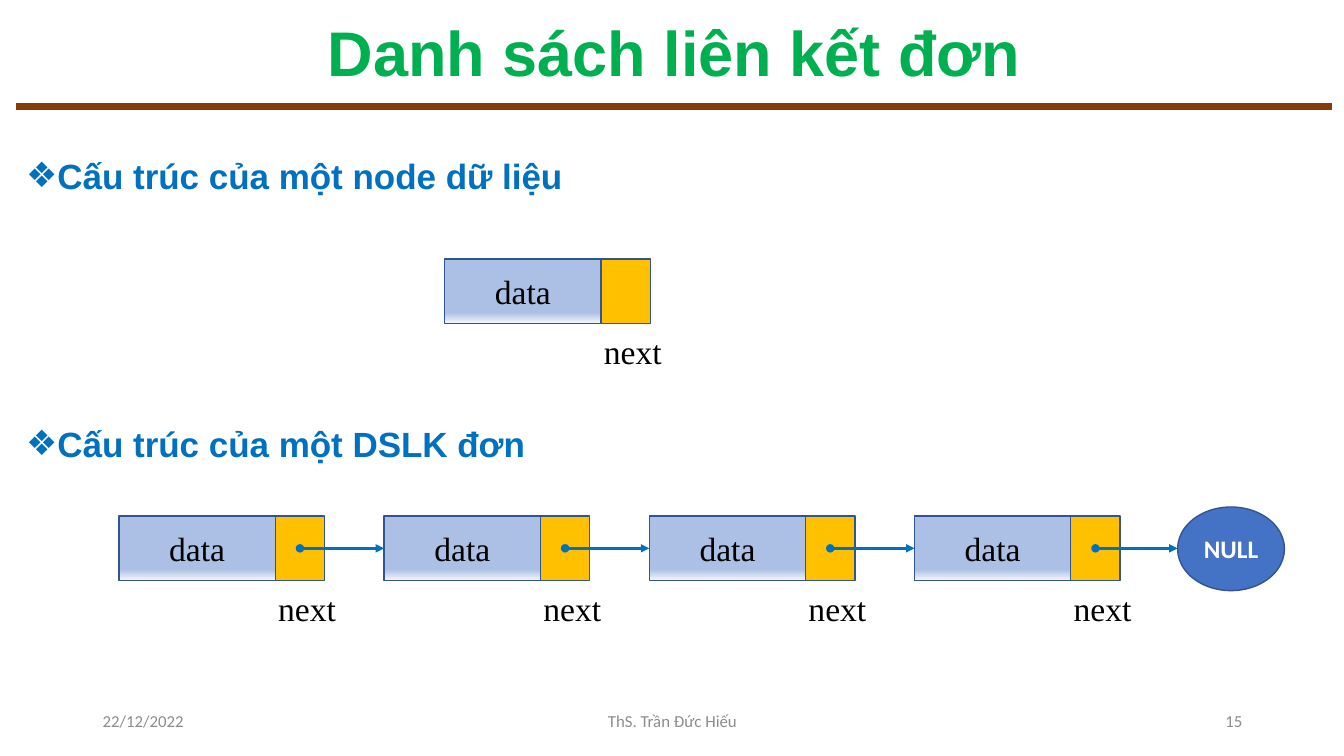
from lxml.etree import SubElement
from pptx import Presentation
from pptx.dml.color import RGBColor
from pptx.enum.shapes import MSO_CONNECTOR, MSO_SHAPE
from pptx.enum.text import MSO_ANCHOR, MSO_AUTO_SIZE, PP_ALIGN
from pptx.oxml.ns import qn
from pptx.util import Inches, Pt

GREEN, BLUE, BROWN = "00B050", "0070C0", "843C0B"
GOLD, NAVY, ROYAL = "FFC000", "325491", "4472C4"
BLACK, WHITE, GRAY = "000000", "FFFFFF", "8C8C8C"
DATA_STOPS = [(74, "ABC0E4"), (83, "ABC0E4"), (100, "F6F8FC"), (100, "C7D5ED")]
DATA_W, NEXT_W, NODE_H = 1.55, 0.49, 0.64


def rgb(value):
    return RGBColor.from_string(value)


class SlideBuilder:
    heading_font, label_font, small_font = "Arial", "Times New Roman", "Calibri"

    def __init__(self, prs):
        self.s = prs.slides.add_slide(prs.slide_layouts[1])

    def format(self, p, font, size, color, bold=False, align=PP_ALIGN.LEFT):
        p.alignment = align
        for r in p.runs:
            r.font.name, r.font.size, r.font.bold = font, Pt(size), bold
            r.font.color.rgb = rgb(color)

    def place(self, sp, x, y, w, h):
        sp.left, sp.top, sp.width, sp.height = map(Inches, (x, y, w, h))
        sp.text_frame.auto_size = MSO_AUTO_SIZE.NONE
        sp.text_frame.word_wrap = True

    def title(self, text):
        sp = self.s.shapes.title
        self.place(sp, 0.16, 0.15, 13.05, 0.81)
        sp.text_frame.text = text
        sp.text_frame.vertical_anchor = MSO_ANCHOR.MIDDLE
        p = sp.text_frame.paragraphs[0]
        p.line_spacing = 0.9
        self.format(p, self.heading_font, 45, GREEN, True, PP_ALIGN.CENTER)

    def headings(self, texts, gap):
        """Fill the body with bulleted headings, gap points apart."""
        sp = self.s.placeholders[1]
        self.place(sp, 0.16, 1.36, 13.05, 6.05)
        tf = sp.text_frame
        tf.text = "\n".join(texts)
        for i, p in enumerate(tf.paragraphs):
            p.line_spacing = 1.3
            p.space_before = Pt(gap if i else 0)
            pPr = p._p.get_or_add_pPr()
            pPr.set("marL", str(Inches(0.25)))
            pPr.set("indent", str(-Inches(0.25)))
            SubElement(pPr, qn("a:buFont")).set("typeface", self.heading_font)
            SubElement(pPr, qn("a:buChar")).set("char", "❖")
            self.format(p, self.heading_font, 25, BLUE, True)

    def text(self, text, x, y, w, h, font, size, color,
             align=PP_ALIGN.LEFT, anchor=MSO_ANCHOR.TOP, wrap=True):
        sp = self.s.shapes.add_textbox(*map(Inches, (x, y, w, h)))
        tf = sp.text_frame
        tf.text, tf.word_wrap, tf.vertical_anchor = text, wrap, anchor
        self.format(tf.paragraphs[0], font, size, color, align=align)

    def shape(self, kind, x, y, w, h, fill=None):
        sp = self.s.shapes.add_shape(kind, *map(Inches, (x, y, w, h)))
        sp.shadow.inherit = False
        sp.line.color.rgb, sp.line.width = rgb(NAVY), Pt(1)
        if fill:
            sp.fill.solid()
            sp.fill.fore_color.rgb = rgb(fill)
        return sp

    def label(self, sp, text, font, size, color, bold=False):
        tf = sp.text_frame
        tf.text, tf.vertical_anchor = text, MSO_ANCHOR.MIDDLE
        self.format(tf.paragraphs[0], font, size, color, bold, PP_ALIGN.CENTER)

    def shade(self, sp, stops):
        """Fill a shape from top to bottom with (percent, colour) stops."""
        sp.fill.gradient()
        sp.fill.gradient_angle = 270
        gs_list = sp._element.spPr.find(qn("a:gradFill")).find(qn("a:gsLst"))
        for gs in list(gs_list):
            gs_list.remove(gs)
        for percent, color in stops:
            gs = SubElement(gs_list, qn("a:gs"), pos=str(percent * 1000))
            SubElement(gs, qn("a:srgbClr"), val=color)

    def node(self, x, y):
        """Draw a list node and return its data cell."""
        data = self.shape(MSO_SHAPE.RECTANGLE, x, y, DATA_W, NODE_H)
        self.shade(data, DATA_STOPS)
        self.label(data, "data", self.label_font, 24, BLACK)
        self.shape(MSO_SHAPE.RECTANGLE, x + DATA_W, y, NEXT_W, NODE_H, GOLD)
        self.text("next", x + 1.48, y + 0.66, 0.78, 0.5,
                  self.label_font, 24, BLACK, wrap=False)
        return data

    def line(self, x1, y1, x2, y2, color, width):
        cn = self.s.shapes.add_connector(
            MSO_CONNECTOR.STRAIGHT, *map(Inches, (x1, y1, x2, y2)))
        cn.line.color.rgb, cn.line.width = rgb(color), Pt(width)
        SubElement(cn._element.spPr, qn("a:effectLst"))
        return cn

    def pointer(self, x1, x2, y, target=None):
        cn = self.line(x1, y, x2, y, BLUE, 2)
        ln = cn.line._get_or_add_ln()
        SubElement(ln, qn("a:headEnd"), type="oval")
        SubElement(ln, qn("a:tailEnd"), type="triangle")
        if target is not None:
            cn.end_connect(target, 1)


def main():
    prs = Presentation()
    prs.slide_width, prs.slide_height = Inches(13.33), Inches(7.5)
    b = SlideBuilder(prs)

    b.line(0.16, 1.06, 13.21, 1.06, BROWN, 5)
    b.title("Danh sách liên kết đơn")
    b.headings(["Cấu trúc của một node dữ liệu", "Cấu trúc của một DSLK đơn"], 152)
    for text, x, w, align in [("22/12/2022", 0.92, 3, PP_ALIGN.LEFT),
                              ("ThS. Trần Đức Hiếu", 4.42, 4.5, PP_ALIGN.CENTER),
                              ("15", 9.42, 3, PP_ALIGN.RIGHT)]:
        b.text(text, x, 6.95, w, 0.4, b.small_font, 12, GRAY, align, MSO_ANCHOR.MIDDLE)

    b.node(4.41, 2.57)

    left, top, pitch = 1.18, 5.12, 2.63
    xs = [left + i * pitch for i in range(4)]
    nodes = [b.node(x, top) for x in xs]
    null = b.shape(MSO_SHAPE.OVAL, 11.68, 5.03, 1.06, 0.83, ROYAL)
    b.label(null, "NULL", b.small_font, 18, WHITE, True)
    for x, end, target in zip(xs, xs[1:] + [11.68], nodes[1:] + [None]):
        b.pointer(x + DATA_W + NEXT_W / 2, end, top + NODE_H / 2, target)

    prs.save("out.pptx")


if __name__ == "__main__":
    main()
